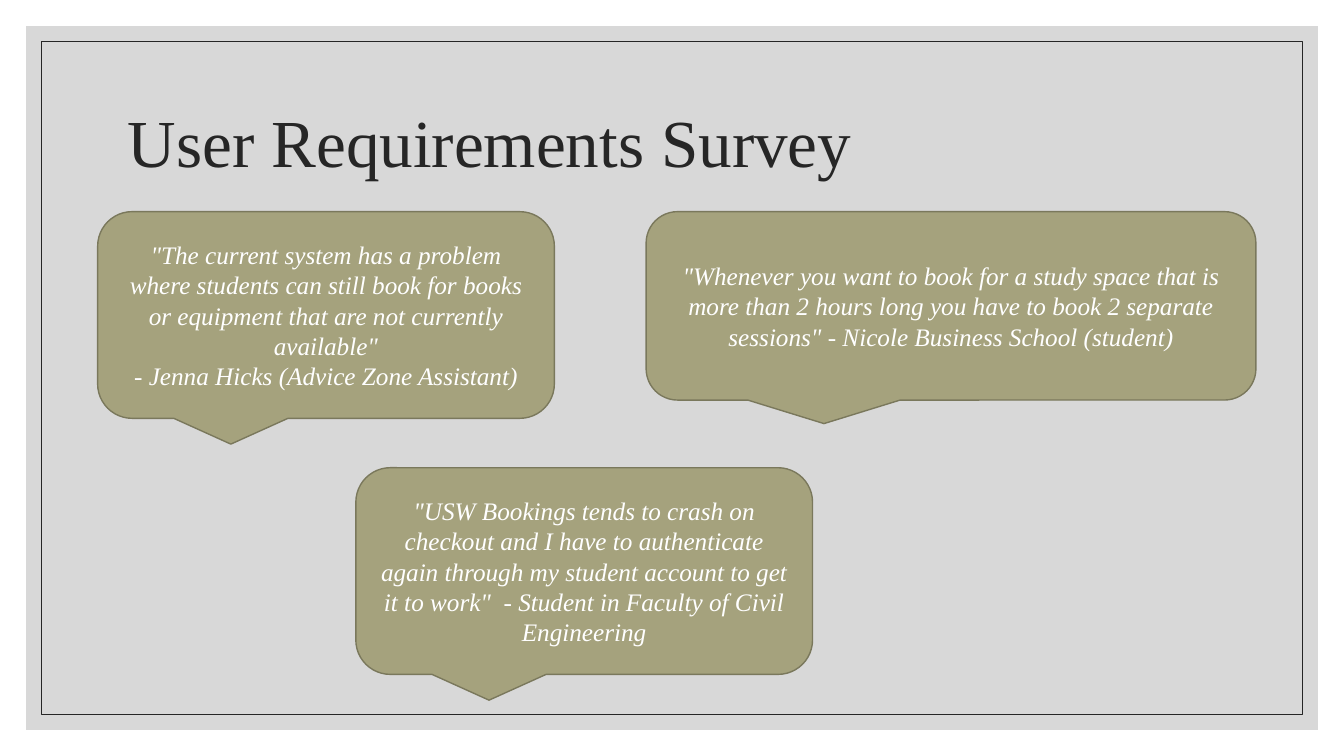
from lxml.etree import SubElement
from pptx import Presentation
from pptx.dml.color import RGBColor
from pptx.enum.shapes import MSO_SHAPE
from pptx.enum.text import MSO_ANCHOR, PP_ALIGN
from pptx.oxml.ns import qn
from pptx.util import Pt

INK = {
    "panel": "BFBFBF",
    "dark": "262626",
    "olive": "A5A27D",
    "edge": "7A785C",
    "white": "FFFFFF",
}
WIDE, HIGH = 960, 540
TOP = 151.2
SMALL = (326.2, 147.6)
QUOTES = [
    ((69.8, TOP, *SMALL), [
        '"The current system has a problem where students can still book '
        'for books or equipment that are not currently available"',
        "- Jenna Hicks (Advice Zone Assistant)",
    ]),
    ((461.5, TOP, 435.6, 134.6), [
        '"Whenever you want to book for a study space that is more than '
        '2 hours long you have to book 2 separate sessions" '
        "- Nicole Business School (student)",
    ]),
    ((254.2, 334.1, *SMALL), [
        '"USW Bookings tends to crash on checkout and I have to '
        "authenticate again through my student account to get it to "
        'work"  - Student in Faculty of Civil Engineering',
    ]),
]


class Deck:
    font = "Times New Roman"

    def __init__(self, wide, high):
        self.prs = Presentation()
        self.prs.slide_width, self.prs.slide_height = Pt(wide), Pt(high)
        self.slide = self.prs.slides.add_slide(self.prs.slide_layouts[5])

    def color(self, name):
        return RGBColor.from_string(INK[name])

    def style(self, para, size, ink, align, italic=False):
        para.alignment = align
        for run in para.runs:
            font = run.font
            font.name, font.size, font.italic = self.font, Pt(size), italic
            font.color.rgb = self.color(ink)

    def shape(self, kind, box, fill=None, line=None, width=1):
        item = self.slide.shapes.add_shape(kind, *map(Pt, box))
        item.shadow.inherit = False
        if fill:
            item.fill.solid()
            item.fill.fore_color.rgb = self.color(fill)
        else:
            item.fill.background()
        if line:
            item.line.color.rgb = self.color(line)
            item.line.width = Pt(width)
        else:
            item.line.fill.background()
        return item

    def frame(self, inset, fill=None, line=None, width=1):
        box = (inset, inset, WIDE - 2 * inset, HIGH - 2 * inset)
        return self.shape(MSO_SHAPE.RECTANGLE, box, fill, line, width)

    def fade(self, item, share):
        tone = next(item.element.iter(qn("a:srgbClr")))
        SubElement(tone, qn("a:alpha")).set("val", str(share * 1000))

    def title(self, text, box):
        item = self.slide.shapes.title
        item.left, item.top, item.width, item.height = map(Pt, box)
        item.element.getparent().append(item.element)
        body = item.text_frame
        body.text = text
        body.word_wrap = True
        body.vertical_anchor = MSO_ANCHOR.MIDDLE
        para = body.paragraphs[0]
        para.line_spacing = 0.9
        self.style(para, 48, "dark", PP_ALIGN.LEFT)

    def quote(self, box, lines):
        kind = MSO_SHAPE.ROUNDED_RECTANGULAR_CALLOUT
        body = self.shape(kind, box, "olive", "edge").text_frame
        body.text = "\n".join(lines)
        body.word_wrap = True
        body.vertical_anchor = MSO_ANCHOR.MIDDLE
        for para in body.paragraphs:
            self.style(para, 18, "white", PP_ALIGN.CENTER, True)


def main():
    deck = Deck(WIDE, HIGH)
    deck.fade(deck.frame(18.7, fill="panel"), 60)
    deck.frame(29.4, line="dark", width=0.5)
    deck.title("User Requirements Survey", (84.2, 50.4, 792, 108))
    for box, lines in QUOTES:
        deck.quote(box, lines)
    deck.prs.save("out.pptx")


if __name__ == "__main__":
    main()
